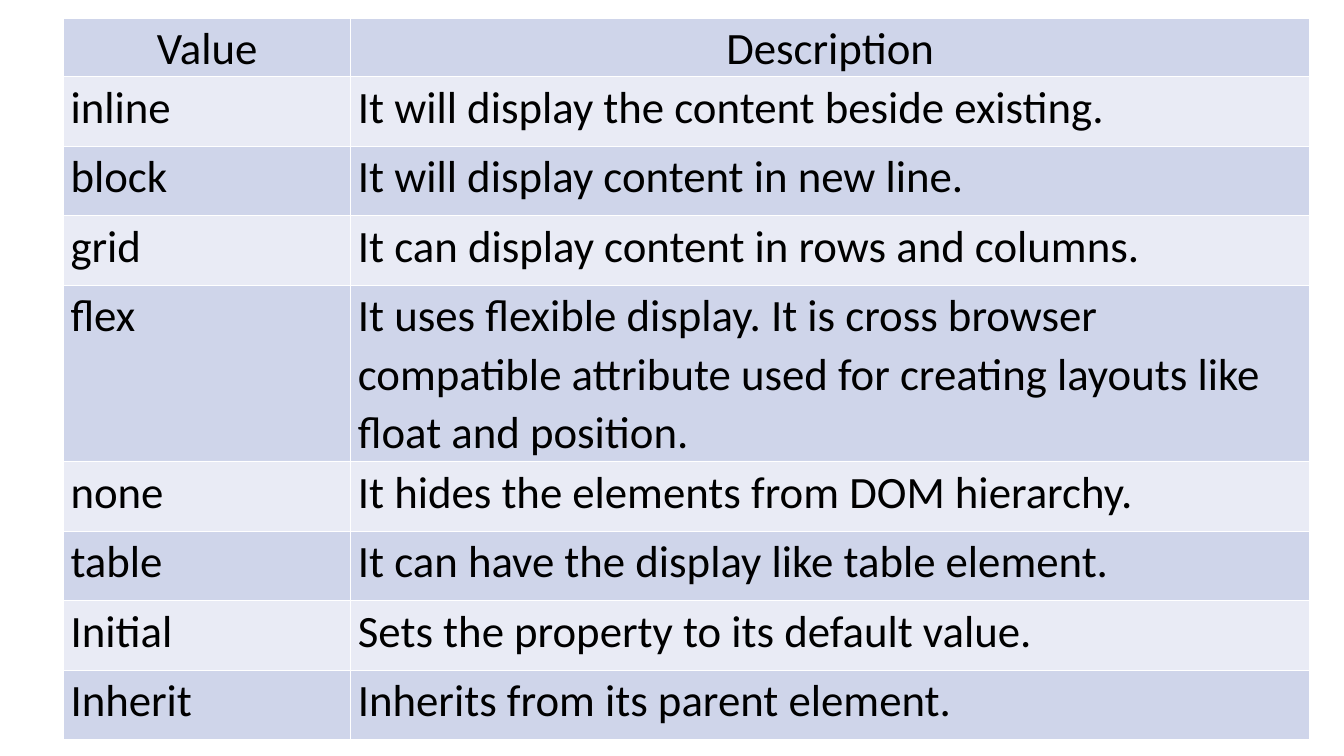
from lxml import etree
from pptx import Presentation
from pptx import util as u
from pptx.dml.color import RGBColor
from pptx.enum import text
from pptx.oxml import ns

BLACK = RGBColor(0x00, 0x00, 0x00)
WHITE = RGBColor(0xFF, 0xFF, 0xFF)
BANDS = (RGBColor(0xCF, 0xD5, 0xEA), RGBColor(0xE9, 0xEB, 0xF5))

CELL = {"margin_left": u.Inches(0.07), "margin_right": u.Inches(0.07),
        "margin_top": 0, "margin_bottom": 0}
PARA = {"line_spacing": 1.07, "space_after": u.Pt(8)}
FONT = {"name": "Calibri", "size": u.Pt(32), "bold": False}

DISPLAY_VALUES = [
    ("Value", "Description"),
    ("inline", "It will display the content beside existing."),
    ("block", "It will display content in new line."),
    ("grid", "It can display content in rows and columns."),
    ("flex", "It uses flexible display. It is cross browser compatible "
             "attribute used for creating layouts like float and position."),
    ("none", "It hides the elements from DOM hierarchy."),
    ("table", "It can have the display like table element."),
    ("Initial", "Sets the property to its default value."),
    ("Inherit", "Inherits from its parent element."),
]
COLUMN_WIDTHS = (2.85, 9.51)
ROW_HEIGHTS = [0.34] + [0.69] * 3 + [1.75] + [0.69] * 4


def assign(target, values):
    for name, value in values.items():
        setattr(target, name, value)


class SlideBuilder:
    def __init__(self, slide):
        self.slide = slide

    def table(self, left, top, height, widths, heights, rows):
        frame = self.slide.shapes.add_table(
            len(rows), len(widths), u.Inches(left), u.Inches(top),
            u.Inches(sum(widths)), u.Inches(height))
        table = frame.table
        assign(table, {"first_row": False, "horz_banding": False})
        for column, width in zip(table.columns, widths):
            column.width = u.Inches(width)
        for row, row_height in zip(table.rows, heights):
            row.height = u.Inches(row_height)
        # The header row grows to fit its text, so the frame is taller than the row sum.
        frame.height = u.Inches(height)
        for index, words in enumerate(rows):
            for cell, wording in zip(table.rows[index].cells, words):
                self.cell(cell, wording, BANDS[index % 2], index == 0)

    def cell(self, cell, wording, color, is_header):
        assign(cell, CELL)
        self.borders(cell)
        cell.fill.solid()
        cell.fill.fore_color.rgb = color
        para = cell.text_frame.paragraphs[0]
        assign(para, PARA)
        para.alignment = text.PP_ALIGN.CENTER if is_header else text.PP_ALIGN.LEFT
        span = para.add_run()
        span.text = wording
        assign(span.font, FONT)
        span.font.color.rgb = BLACK

    def borders(self, cell):
        properties = cell._tc.get_or_add_tcPr()
        for side in ("a:lnL", "a:lnR", "a:lnT", "a:lnB"):
            line = etree.SubElement(properties, ns.qn(side), w=str(u.Pt(1)))
            fill = etree.SubElement(line, ns.qn("a:solidFill"))
            etree.SubElement(fill, ns.qn("a:srgbClr"), val=str(WHITE))


def main():
    deck = Presentation()
    deck.slide_width, deck.slide_height = u.Inches(13.33), u.Inches(7.5)
    page = SlideBuilder(deck.slides.add_slide(deck.slide_layouts[6]))
    page.table(0.63, 0.18, 7.14, COLUMN_WIDTHS, ROW_HEIGHTS, DISPLAY_VALUES)
    deck.save("out.pptx")


if __name__ == "__main__":
    main()
